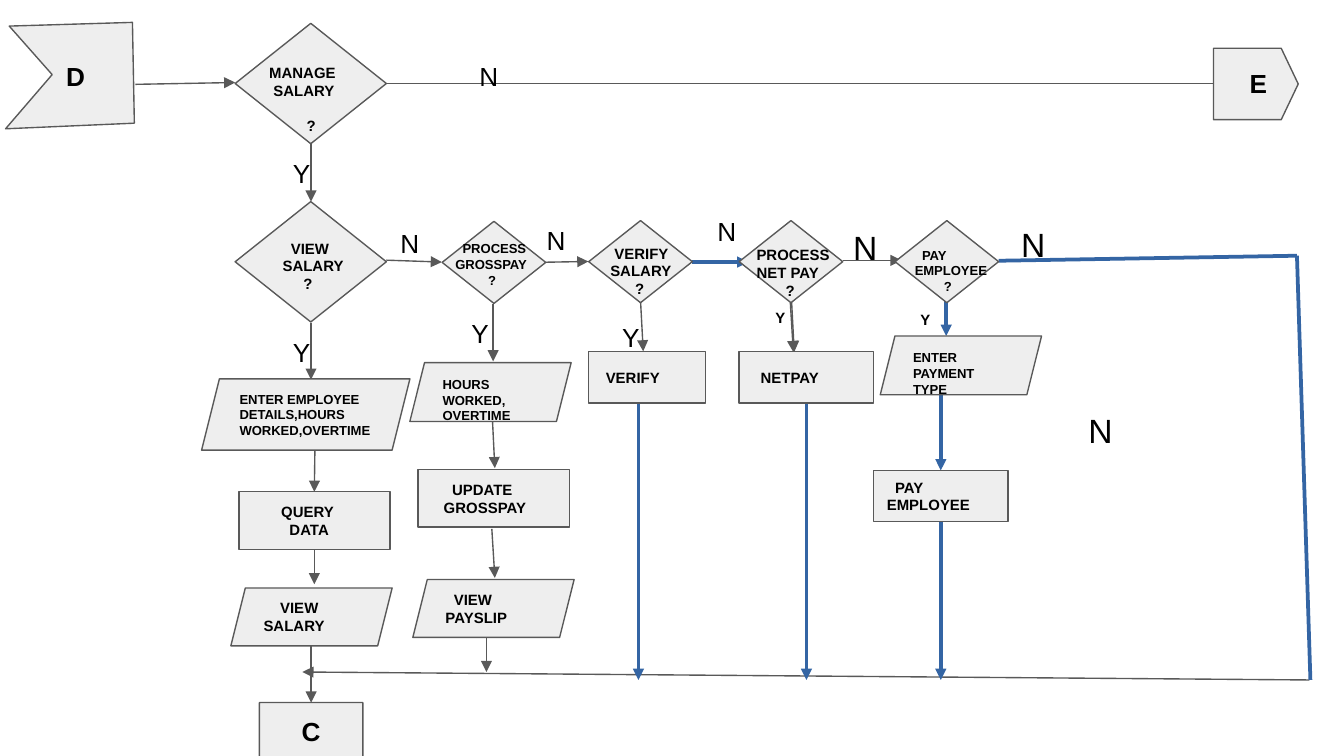
import pptx
import pptx.util
import pptx.dml.color
import pptx.enum.shapes
import pptx.enum.text
import pptx.oxml.ns
import lxml.etree

Pt = pptx.util.Pt
Kind = pptx.enum.shapes.MSO_SHAPE
Anchor = pptx.enum.text.MSO_ANCHOR
GREY, BLUE, PALE, BLACK = "595959", "3465A4", "EEEEEE", "000000"
SPACE = 0.278  # width of an Arial space, as a share of the text size

deck = pptx.Presentation()
deck.slide_width, deck.slide_height = Pt(720), Pt(405)
slide = deck.slides.add_slide(deck.slide_layouts[6])
shapes = slide.shapes
color = pptx.dml.color.RGBColor.from_string
qn = pptx.oxml.ns.qn


def style(shape):
    shape.shadow.inherit = False
    shape.fill.solid()
    shape.fill.fore_color.rgb = color(PALE)
    shape.line.color.rgb = color(GREY)
    shape.line.width = Pt(0.74)


def write(shape, size, bold, lines, anchor=Anchor.TOP):
    """Each line is (indent in spaces, text) plus an optional gap above."""
    frame = shape.text_frame
    frame.word_wrap = True
    frame.vertical_anchor = anchor
    frame.margin_left = frame.margin_right = Pt(7.2)
    frame.margin_top = frame.margin_bottom = Pt(3.6)
    for i, (indent, text, *gap) in enumerate(lines):
        para = frame.paragraphs[0] if i == 0 else frame.add_paragraph()
        para.alignment = pptx.enum.text.PP_ALIGN.LEFT
        para._p.get_or_add_pPr().set("marL", str(int(Pt(indent * size * SPACE))))
        if gap:
            para.space_before = Pt(gap[0])
        run = para.add_run()
        run.text = text
        run.font.name, run.font.size, run.font.bold = "Arial", Pt(size), bold
        run.font.color.rgb = color(BLACK)


# Flow lines: start, end, colour, arrowhead
flows = [
    (72.5, 45.2, 126, 44.2, GREY, True),
    (207, 44.8, 662.4, 44.8, GREY, True),
    (166.6, 77, 166.6, 108, GREY, True),
    (166.6, 172.8, 166.6, 203.4, GREY, True),
    (264.2, 162.6, 264.2, 193.6, GREY, True),
    (168.4, 294.5, 168.4, 313, GREY, True),
    (166.7, 346, 166.7, 376.4, GREY, True),
    (207, 139.4, 236.7, 140.4, GREY, True),
    (292.2, 140.5, 315.2, 140.1, GREY, True),
    (343.2, 162, 344.6, 188.2, GREY, True),
    (263.8, 224.5, 265.1, 250.8, GREY, True),
    (263.5, 283.4, 265.1, 309.6, GREY, True),
    (168.7, 241.2, 168.4, 263.5, GREY, True),
    (701.5, 364.3, 162, 360, GREY, True),
    (260.6, 341.5, 260.6, 360, GREY, True),
    (423.4, 162, 425, 188.6, GREY, True),
    (424.1, 162, 425.5, 188.6, GREY, True),
    (451.4, 139.5, 483, 139.5, GREY, True),
    (535, 139.7, 694.8, 137, BLUE, False),
    (694.8, 137, 702, 364.3, BLUE, False),
    (342, 216, 342, 364.3, BLUE, True),
    (370.8, 140.4, 401, 140.4, BLUE, True),
    (432, 216, 432, 364.3, BLUE, True),
    (506.9, 161.5, 506.9, 180, BLUE, True),
    (504, 211.7, 504, 252, BLUE, True),
    (504, 279.4, 504, 364.3, BLUE, True),
]
for x, y, right, low, hue, arrow in flows:
    flow = shapes.add_connector(
        pptx.enum.shapes.MSO_CONNECTOR.STRAIGHT, Pt(x), Pt(y), Pt(right), Pt(low))
    flow.line.color.rgb = color(hue)
    flow.line.width = Pt(0.74 if hue == GREY else 0)
    props = flow._element.spPr
    if arrow:
        lxml.etree.SubElement(props.find(qn("a:ln")), qn("a:tailEnd"), type="triangle")
    lxml.etree.SubElement(props, qn("a:effectLst"))

# Decisions
for x, y, w, h in [
    (126, 12.5, 81, 64.5), (126, 108, 81, 64.5), (236.9, 118.6, 55.5, 44),
    (315.4, 118.2, 55.5, 44), (396, 118.2, 55.5, 44), (479.5, 118.2, 55.5, 44),
]:
    style(shapes.add_shape(Kind.DIAMOND, Pt(x), Pt(y), Pt(w), Pt(h)))

# Page links D and E
flag = shapes.build_freeform(70.6, 12.5, scale=12700)
flag.add_line_segments([(5, 13.9), (27.5, 40.3), (2.7, 69.2), (72.4, 66.3)], close=True)
style(flag.convert_to_shape())
link = shapes.add_shape(
    Kind.FLOWCHART_OFFPAGE_CONNECTOR, Pt(653.7), Pt(22.3), Pt(38.2), Pt(45.4))
link.rotation = 270
style(link)

# Steps with their own text
MID, TOP = Anchor.MIDDLE, Anchor.TOP
SLANT, BOX = Kind.PARALLELOGRAM, Kind.RECTANGLE
steps = [
    (Kind.FLOWCHART_OFFPAGE_CONNECTOR, 139, 376.4, 55.4, 38.2, 14, MID, [(4, "C")]),
    (SLANT, 108, 203, 111.6, 38.2, 7, MID,
     [(0, "ENTER EMPLOYEE DETAILS,HOURS WORKED,OVERTIME")]),
    (BOX, 128, 263.4, 81, 31, 8, MID, [(7, "QUERY"), (9, "DATA")]),
    (SLANT, 123.7, 315, 86.4, 31, 8, MID, [(4, "VIEW"), (0, "SALARY")]),
    (SLANT, 471.6, 180, 86.4, 31.5, 7, TOP, [(0, "ENTER PAYMENT TYPE")]),
    (BOX, 224, 251.4, 81, 31, 8, MID, [(5, "UPDATE"), (3, "GROSSPAY")]),
    (SLANT, 221.2, 310.5, 86.4, 31, 8, MID, [(2, "VIEW"), (0, "PAYSLIP")]),
    (BOX, 315.2, 188.4, 62.8, 27.5, 8, MID, [(1, "VERIFY")]),
    (BOX, 396, 188.4, 72, 27.5, 8, MID, [(2, "NETPAY")]),
    (BOX, 468, 252, 72, 27.5, 8, MID, [(2, "PAY"), (0, "EMPLOYEE")]),
    (SLANT, 219.6, 194.3, 86.4, 31.5, 7, TOP, [(0, "HOURS WORKED,"), (0, "OVERTIME")]),
]
for kind, x, y, w, h, size, anchor, lines in steps:
    step = shapes.add_shape(kind, Pt(x), Pt(y), Pt(w), Pt(h))
    style(step)
    write(step, size, True, lines, anchor)

# Decision texts and link letters
notes = [
    (126, 30.8, 112, 50, 8, True, [(5, "MANAGE"), (6, "SALARY"), (14, "?", 9.2)]),
    (135.4, 124.6, 81, 36, 8, True, [(6, "VIEW"), (4, "SALARY"), (9, "?")]),
    (236.9, 125.5, 108, 33, 7, True, [(2, "PROCESS"), (0, "GROSSPAY"), (9, "?")]),
    (315.4, 127.3, 86.4, 36, 8, True, [(3, "VERIFY"), (2, "SALARY"), (8, "?")]),
    (396, 128, 75, 36, 8, True, [(1, "PROCESS"), (1, "NET PAY"), (8, "?")]),
    (483, 128.9, 72, 33, 7, True, [(2, "PAY"), (0, "EMPLOYEE"), (8, "?")]),
    (28.4, 28.8, 30, 24, 14, True, [(0, "D")]),
    (662.4, 32.4, 30, 24, 14, True, [(0, "E")]),
]

# Yes and no marks: text, size, places
marks = [
    ("N", 14, [(249.8, 28.8), (285.8, 116.6), (207.4, 118), (377.3, 111.6)]),
    ("Y", 14, [(149.8, 80.6), (149.8, 176.4), (245.5, 166.3), (326.2, 168.5)]),
    ("N", 18, [(540, 116.6), (450, 118), (576, 216)]),
    ("Y", 8, [(408.4, 162), (486, 162.7)]),
]
for text, size, spots in marks:
    for x, y in spots:
        notes.append((x, y, 30, size + 10, size, size == 8, [(0, text)]))

for x, y, w, h, size, bold, lines in notes:
    write(shapes.add_textbox(Pt(x), Pt(y), Pt(w), Pt(h)), size, bold, lines)

deck.save("out.pptx")
